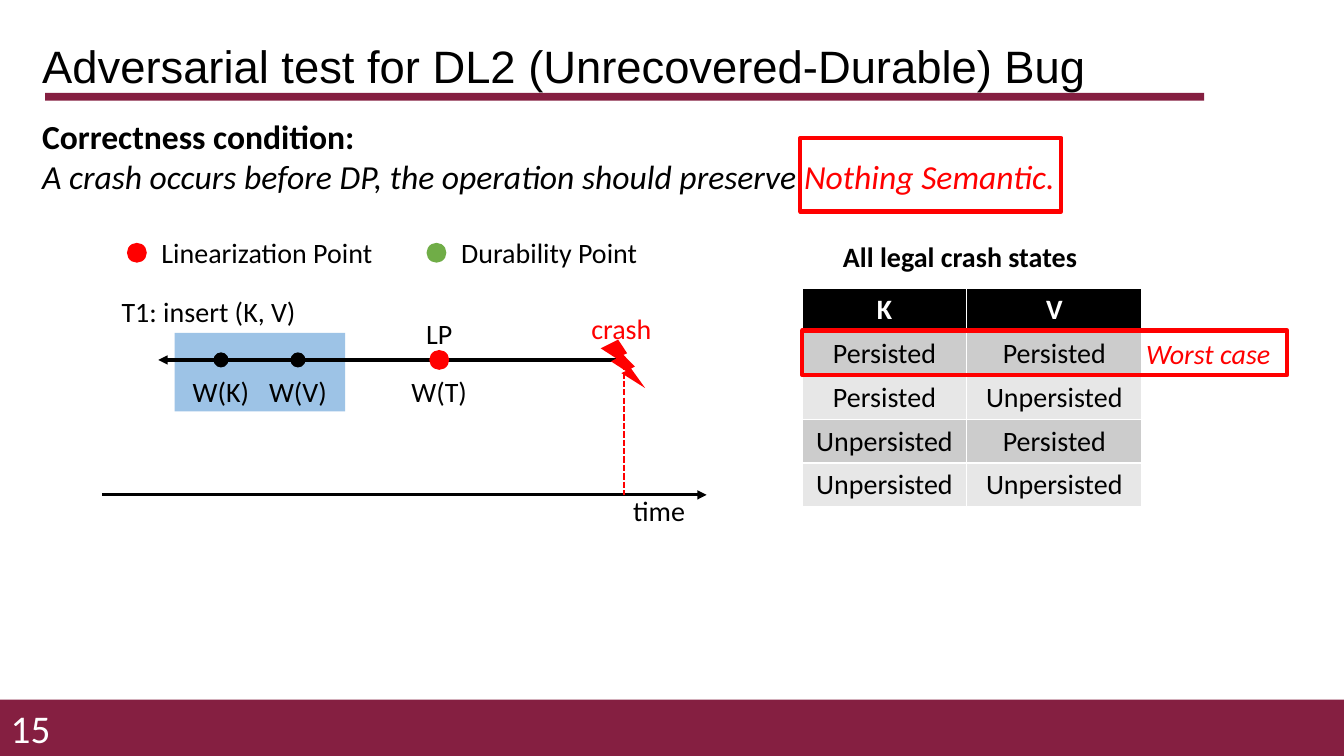
from lxml.etree import SubElement
from pptx import Presentation
from pptx.dml.color import RGBColor
from pptx.enum.dml import MSO_LINE
from pptx.enum.shapes import MSO_CONNECTOR, MSO_SHAPE
from pptx.enum.text import MSO_ANCHOR, MSO_AUTO_SIZE, PP_ALIGN
from pptx.oxml.ns import qn
from pptx.util import Cm, Pt

COLORS = {
    "maroon": "851F41", "black": "000000", "white": "FFFFFF", "red": "FF0000",
    "green": "70AD47", "blue": "9DC3E6", "dark band": "CCCCCC", "light band": "E7E7E7",
}
TITLE = "Adversarial test for DL2 (Unrecovered-Durable) Bug"
PAGE = "15"
CONDITION = [
    [("Correctness condition:", "black", True, False)],
    [("A crash occurs before DP, the operation should preserve ", "black", False, True),
     ("Nothing Semantic.", "red", False, True)],
]
LEGEND = [("Linearization Point", "red", 3.45), ("Durability Point", "green", 11.0)]
WRITES = [("W(K)", 5.57), ("W(V)", 7.51), ("W(T)", 11.07)]
STATES = [
    ("K", "V"),
    ("Persisted", "Persisted"),
    ("Persisted", "Unpersisted"),
    ("Unpersisted", "Persisted"),
    ("Unpersisted", "Unpersisted"),
]
COLUMN_WIDTHS = (4.14, 4.42)
TABLE_LEFT, TABLE_TOP, ROW_HEIGHT = 20.22, 7.26, 1.1
LABEL_HEIGHT = 1.12
OPERATION_Y, TIME_Y = 9.07, 12.47
CRASH_X = 15.72


def rgb(color):
    return RGBColor.from_string(COLORS[color])


def style(run, color, size=20, bold=False, italic=False, font="Calibri"):
    run.font.name, run.font.size = font, Pt(size)
    run.font.bold, run.font.italic = bold, italic
    run.font.color.rgb = rgb(color)


def add_label(slide, text, left, top, width, height=LABEL_HEIGHT, color="black",
              align=PP_ALIGN.CENTER, anchor=MSO_ANCHOR.TOP, **look):
    frame = slide.shapes.add_textbox(Cm(left), Cm(top), Cm(width), Cm(height)).text_frame
    frame.word_wrap = True
    frame.vertical_anchor = anchor
    frame.text = text
    frame.paragraphs[0].alignment = align
    style(frame.paragraphs[0].runs[0], color, **look)


def add_solid(slide, kind, left, top, width, height, color):
    solid = slide.shapes.add_shape(kind, Cm(left), Cm(top), Cm(width), Cm(height))
    solid.shadow.inherit = False
    solid.fill.solid()
    solid.fill.fore_color.rgb = rgb(color)
    solid.line.fill.background()


def add_dot(slide, x, y, size, color):
    add_solid(slide, MSO_SHAPE.OVAL, x - size / 2, y - size / 2, size, size, color)


def add_frame(slide, left, top, width, height):
    frame = slide.shapes.add_shape(MSO_SHAPE.RECTANGLE, Cm(left), Cm(top), Cm(width), Cm(height))
    frame.shadow.inherit = False
    frame.fill.background()
    frame.line.color.rgb = rgb("red")
    frame.line.width = Pt(3)


def add_line(slide, x1, y1, x2, y2, color="black", width=2.25, arrow=None):
    line = slide.shapes.add_connector(MSO_CONNECTOR.STRAIGHT, Cm(x1), Cm(y1), Cm(x2), Cm(y2))
    line.line.color.rgb = rgb(color)
    line.line.width = Pt(width)
    if arrow:
        SubElement(line.line._get_or_add_ln(), qn(f"a:{arrow}"), type="triangle")
    SubElement(line._element.spPr, qn("a:effectLst"))
    return line


def add_heading(slide):
    add_solid(slide, MSO_SHAPE.RECTANGLE, 0, 17.63, 33.87, 1.42, "maroon")
    add_solid(slide, MSO_SHAPE.RECTANGLE, 1.14, 2.34, 29.21, 0.2, "maroon")
    title = slide.shapes.title
    slide.shapes._spTree.append(title._element)
    title.left, title.top, title.width, title.height = Cm(0.81), Cm(1.02), Cm(31.8), Cm(1.42)
    title.text_frame.text = TITLE
    title.text_frame.auto_size = MSO_AUTO_SIZE.NONE
    title.text_frame.vertical_anchor = MSO_ANCHOR.MIDDLE
    heading = title.text_frame.paragraphs[0]
    heading.alignment, heading.line_spacing = PP_ALIGN.LEFT, 0.9
    style(heading.runs[0], "black", 32.4, font="Arial")
    add_label(slide, PAGE, -0.28, 17.83, 1.8, 1.02, "white", PP_ALIGN.RIGHT,
              MSO_ANCHOR.MIDDLE, size=28)


def add_condition(slide):
    frame = slide.shapes.add_textbox(Cm(0.81), Cm(2.79), Cm(30.71), Cm(2.31)).text_frame
    frame.word_wrap = True
    for index, pieces in enumerate(CONDITION):
        paragraph = frame.add_paragraph() if index else frame.paragraphs[0]
        for text, color, bold, italic in pieces:
            run = paragraph.add_run()
            run.text = text
            style(run, color, 24, bold, italic)


def add_timeline(slide):
    for name, color, x in LEGEND:
        add_dot(slide, x, 6.37, 0.5, color)
        add_label(slide, name, x + 0.37, 5.82, 5.87, align=PP_ALIGN.LEFT)

    add_solid(slide, MSO_SHAPE.RECTANGLE, 4.4, 8.39, 4.3, 1.98, "blue")
    add_line(slide, 2.57, TIME_Y, 17.81, TIME_Y, arrow="tailEnd")
    add_label(slide, "time", 15.57, 12.32, 2.08)
    add_label(slide, "T1: insert (K, V)", 2.72, 7.29, 5.08)
    add_line(slide, 3.99, OPERATION_Y, CRASH_X, OPERATION_Y, arrow="headEnd")
    crash_drop = add_line(slide, CRASH_X, 9.17, CRASH_X, TIME_Y, "red", 1.5)
    crash_drop.line.dash_style = MSO_LINE.SQUARE_DOT
    add_solid(slide, MSO_SHAPE.LIGHTNING_BOLT, 15.14, 8.56, 1.12, 1.22, "red")
    add_label(slide, "crash", 14.61, 7.72, 2.1, color="red")

    for write, x in WRITES:
        linearizes = write == "W(T)"
        add_dot(slide, x, OPERATION_Y, 0.5 if linearizes else 0.38,
                "red" if linearizes else "black")
        add_label(slide, write, x - 1.25, 9.32, 2.5)
        if linearizes:
            add_label(slide, "LP", x - 0.72, 7.85, 1.44)


def add_states(slide):
    table_width = sum(COLUMN_WIDTHS)
    table = slide.shapes.add_table(
        len(STATES), len(COLUMN_WIDTHS), Cm(TABLE_LEFT), Cm(TABLE_TOP),
        Cm(table_width), Cm(ROW_HEIGHT * len(STATES))).table
    for column, width in zip(table.columns, COLUMN_WIDTHS):
        column.width = Cm(width)
    for r, state in enumerate(STATES):
        band = "black" if r == 0 else "dark band" if r % 2 else "light band"
        for c, value in enumerate(state):
            cell = table.cell(r, c)
            cell.fill.solid()
            cell.fill.fore_color.rgb = rgb(band)
            cell.text_frame.text = value
            paragraph = cell.text_frame.paragraphs[0]
            paragraph.alignment = PP_ALIGN.CENTER
            style(paragraph.runs[0], "black" if r else "white", bold=r == 0)

    add_label(slide, "All legal crash states", 20.7, 5.92, 6.99, bold=True)
    add_frame(slide, TABLE_LEFT, 8.33, 12.22, LABEL_HEIGHT)
    add_label(slide, "Worst case", 28.47, 8.36, 3.96, color="red", italic=True)


def main():
    deck = Presentation()
    deck.slide_width, deck.slide_height = Cm(33.87), Cm(19.05)
    slide = deck.slides.add_slide(deck.slide_layouts[5])
    add_heading(slide)
    add_condition(slide)
    add_timeline(slide)
    add_states(slide)
    add_frame(slide, 20.17, 3.48, 6.58, 1.85)
    deck.save("out.pptx")


if __name__ == "__main__":
    main()
